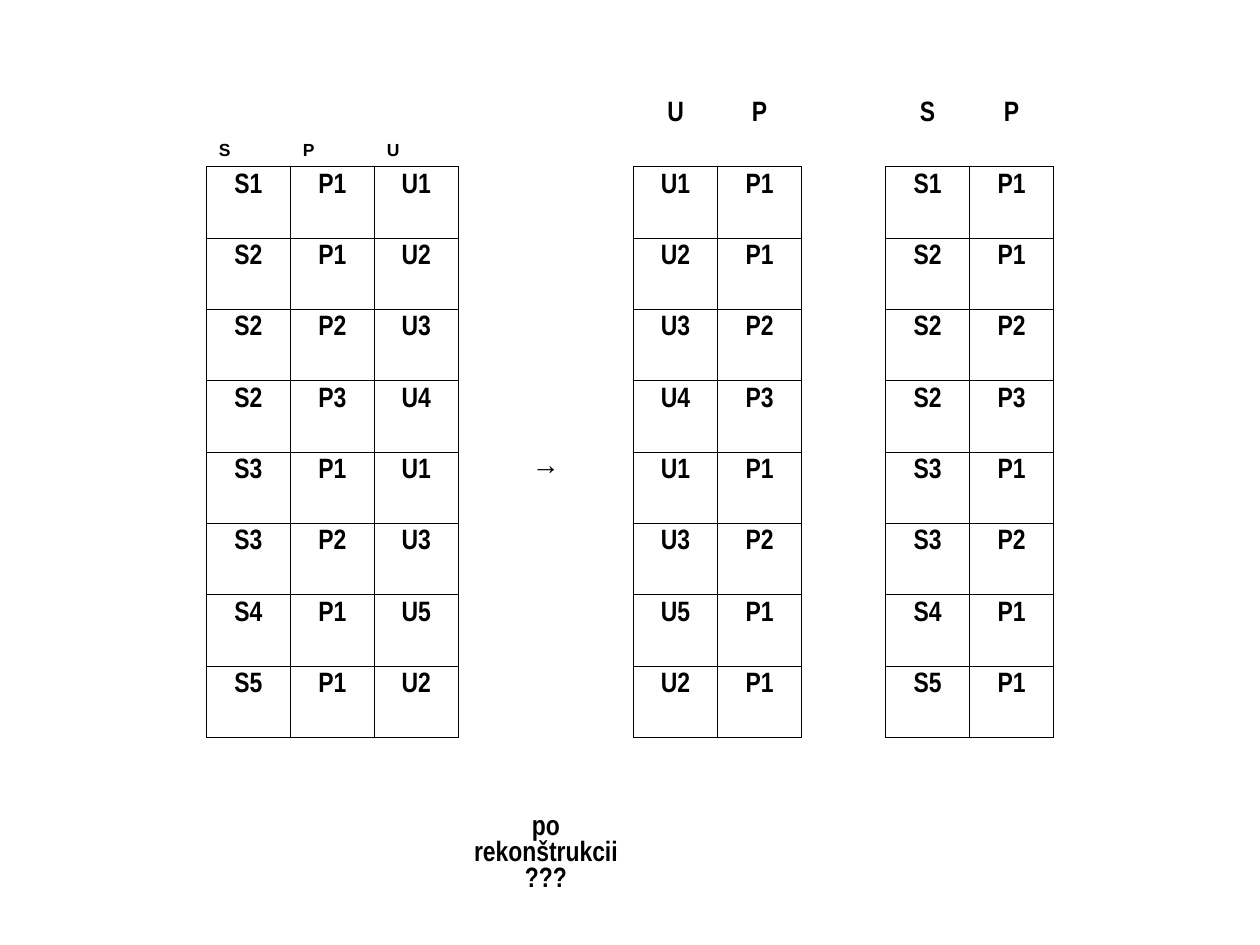
from dataclasses import dataclass

from lxml.etree import SubElement
from pptx import Presentation
from pptx.dml.color import RGBColor
from pptx.enum.text import MSO_ANCHOR as Anchor, PP_ALIGN as Align
from pptx.oxml.ns import qn
from pptx.table import Table, _Cell as Cell
from pptx.util import Inches, Pt

# Grid of the whole table
LEFT, TOP, WIDTH, HEIGHT = 0.97, 0.19, 8.06, 7.13
ROWS, COLS = 12, 11
MID, MID_W = 4, 1.39
LAST_H = 0.9
COL_W = (WIDTH - MID_W) / (COLS - 1)
ROW_H = (HEIGHT - LAST_H) / (ROWS - 1)
HEAD, FIRST = 1, 2
INK = "000000"
LINE = Pt(0.45)

DATA = [
    ("S1", "P1", "U1"), ("S2", "P1", "U2"), ("S2", "P2", "U3"), ("S2", "P3", "U4"),
    ("S3", "P1", "U1"), ("S3", "P2", "U3"), ("S4", "P1", "U5"), ("S5", "P1", "U2"),
]
NAMES = "SPU"


@dataclass
class Block:
    col: int
    keys: str
    small: bool = False


BLOCKS = [Block(1, "SPU", True), Block(5, "UP"), Block(8, "SP")]
BOXED = {(FIRST + i, b.col + j) for b in BLOCKS
         for i in range(len(DATA)) for j in range(len(b.keys))}

BODY = {"name": "Arial Narrow", "size": Pt(16), "bold": True}
SMALL = {"name": "Arial", "size": Pt(10), "bold": True}
PLAIN = BODY | {"bold": False}


def color(code: str) -> RGBColor:
    return RGBColor.from_string(code)


def write(cell: Cell, text: str, form: dict = BODY, align: Align = Align.CENTER) -> None:
    cell.text = text
    para = cell.text_frame.paragraphs[0]
    para.alignment = align
    font = para.runs[0].font
    for key, value in form.items():
        setattr(font, key, value)
    font.color.rgb = color(INK)


def edge(cell: Cell, row: int, col: int) -> None:
    """Rule each side that touches a boxed cell; clear the others."""
    props = cell._tc.get_or_add_tcPr()
    sides = {"lnL": (row, col - 1), "lnR": (row, col + 1),
             "lnT": (row - 1, col), "lnB": (row + 1, col)}
    for tag, near in sides.items():
        line = SubElement(props, qn(f"a:{tag}"), w=str(LINE))
        if BOXED & {(row, col), near}:
            fill = SubElement(line, qn("a:solidFill"))
            SubElement(fill, qn("a:srgbClr"), val=INK)
        else:
            SubElement(line, qn("a:noFill"))
    cell.fill.background()


def draw(table: Table, block: Block) -> None:
    for j, key in enumerate(block.keys):
        col = block.col + j
        head = table.cell(HEAD, col)
        if block.small:
            write(head, key, SMALL, Align.LEFT)
            head.vertical_anchor = Anchor.BOTTOM
        else:
            write(head, key)
        for i, row in enumerate(DATA):
            write(table.cell(FIRST + i, col), row[NAMES.index(key)])


def main() -> None:
    prs = Presentation()
    prs.slide_width, prs.slide_height = Inches(10), Inches(7.5)
    slide = prs.slides.add_slide(prs.slide_layouts[6])

    # Bare table with its column and row sizes
    table = slide.shapes.add_table(ROWS, COLS, Inches(LEFT), Inches(TOP),
                                   Inches(WIDTH), Inches(HEIGHT)).table
    table.first_row = table.horz_banding = False
    for c, col in enumerate(table.columns):
        col.width = Inches(MID_W if c == MID else COL_W)
    for r, row in enumerate(table.rows):
        row.height = Inches(LAST_H if r == ROWS - 1 else ROW_H)
        for c, cell in enumerate(row.cells):
            edge(cell, r, c)

    # Source relation and its two projections
    for block in BLOCKS:
        draw(table, block)

    # Arrow and closing question
    write(table.cell(6, MID), "→", PLAIN)
    write(table.cell(ROWS - 1, MID), "po rekonštrukcii ???")

    prs.save("out.pptx")


if __name__ == "__main__":
    main()
